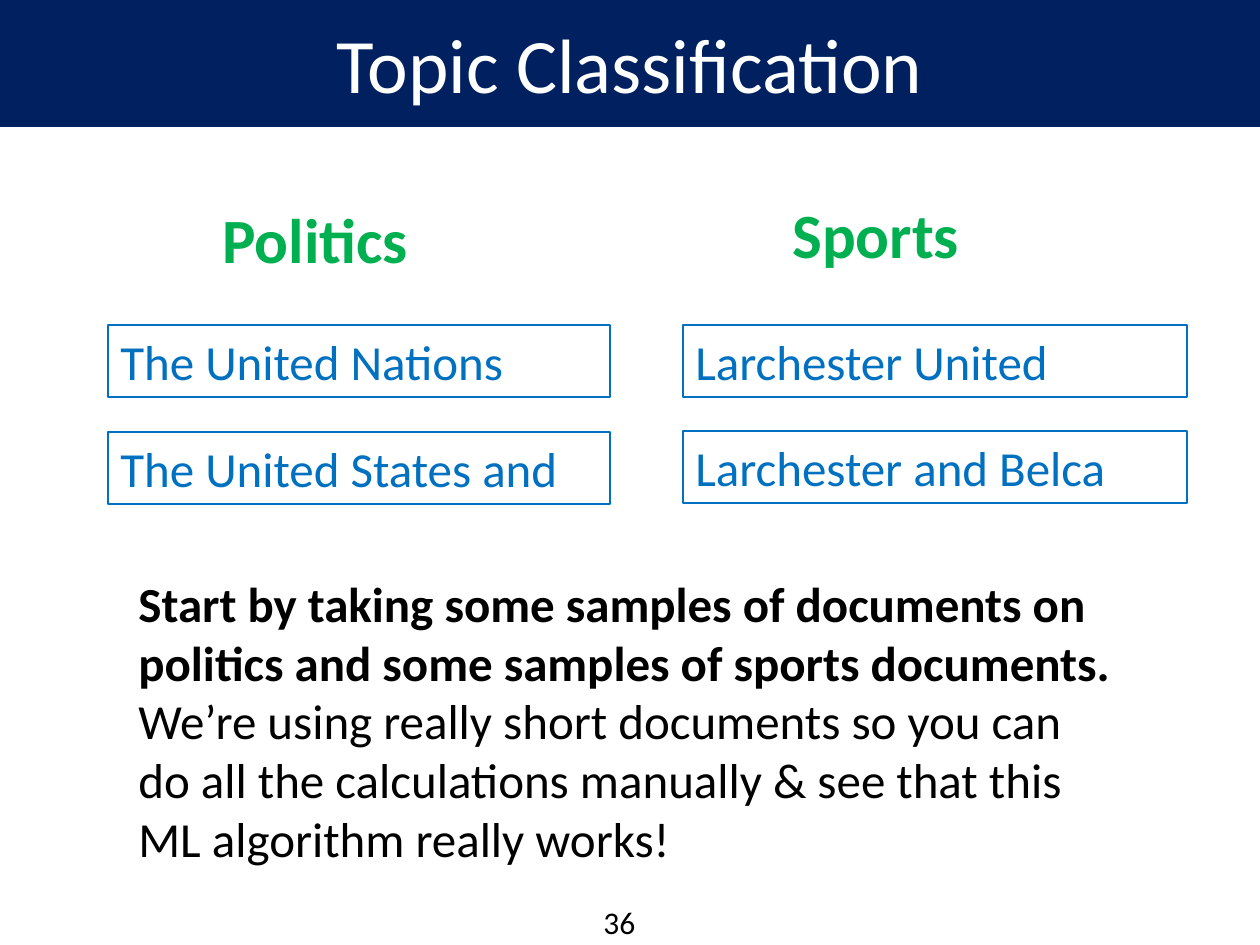
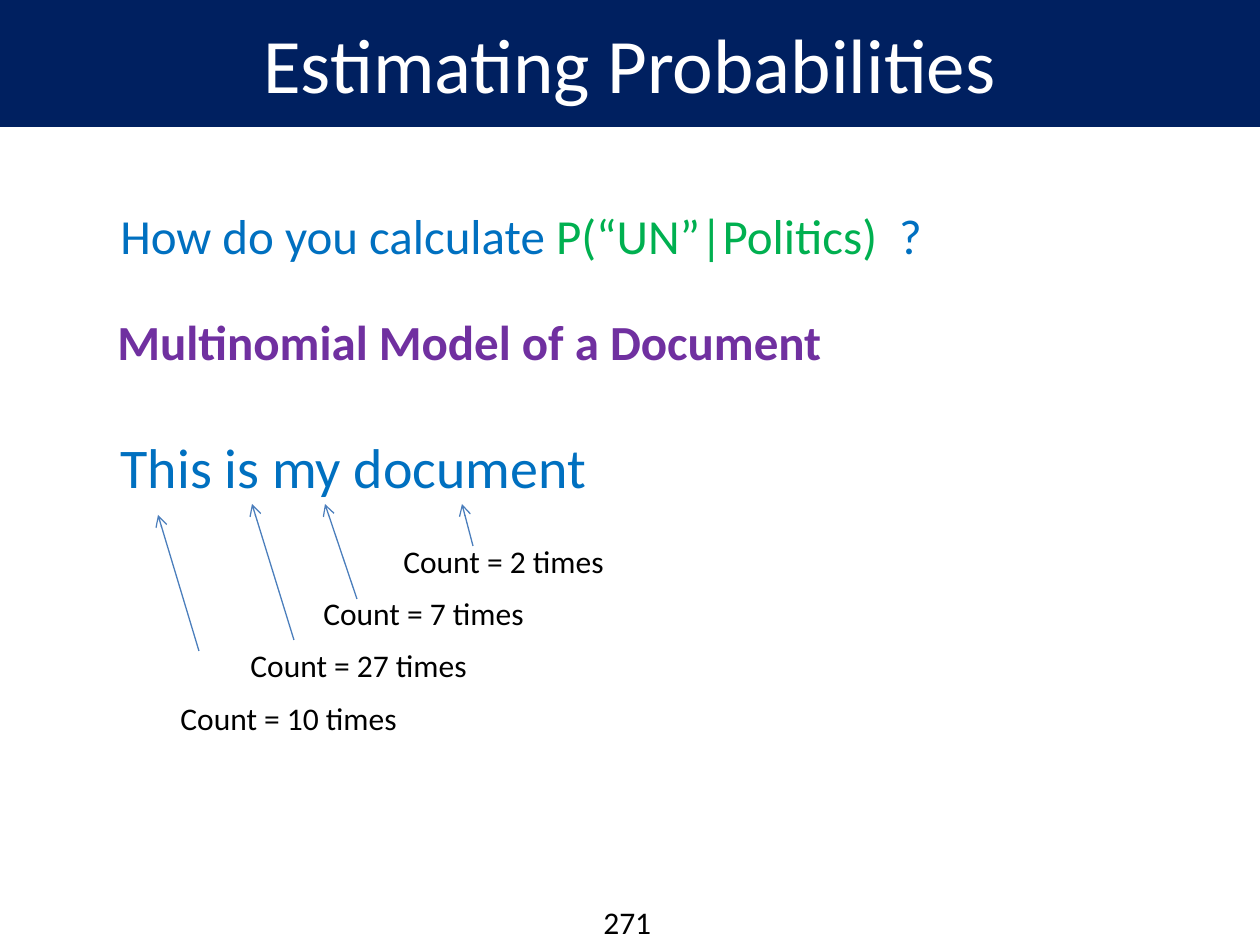
"""Build two slides on topic classification and estimating probabilities."""
from lxml import etree
from pptx import Presentation
from pptx.dml.color import RGBColor
from pptx.enum.shapes import MSO_CONNECTOR
from pptx.enum.text import MSO_ANCHOR, MSO_AUTO_SIZE, PP_ALIGN
from pptx.oxml.ns import qn
from pptx.util import Pt

FIT, FIXED = MSO_AUTO_SIZE.SHAPE_TO_FIT_TEXT, MSO_AUTO_SIZE.NONE
MIDDLE, CENTER = MSO_ANCHOR.MIDDLE, PP_ALIGN.CENTER
STRAIGHT = MSO_CONNECTOR.STRAIGHT
PX = 914400 / 126
COLORS = {"navy": "002060", "white": "FFFFFF", "black": "000000", "blue": "0070C0",
          "green": "00B050", "purple": "7030A0", "arrow": "4B7EBC"}
RGB = {name: RGBColor.from_string(value) for name, value in COLORS.items()}
TITLE_FORMAT = {"auto_size": FIXED, "vertical_anchor": MIDDLE, "word_wrap": True}


def add_runs(p, runs, size):
    """Add (text, colour, bold) runs to a paragraph."""
    for text, color, bold in runs:
        r = p.add_run()
        r.text = text
        for key, value in {"name": "Calibri", "size": Pt(size), "bold": bold}.items():
            setattr(r.font, key, value)
        r.font.color.rgb = RGB[color]


def add_text(s, box, paragraphs, size, wrap=True):
    """Add a text box with one list of runs for each paragraph."""
    sp = s.shapes.add_textbox(*[round(v * PX) for v in box])
    tf = sp.text_frame
    tf.word_wrap, tf.auto_size = wrap, FIT
    for i, runs in enumerate(paragraphs):
        add_runs(tf.add_paragraph() if i else tf.paragraphs[0], runs, size)
    return sp


prs = Presentation()
prs.slide_width, prs.slide_height = round(1260 * PX), round(945 * PX)

slides = []
for layout, title, number in [(5, "Topic Classification", "36"),
                              (1, "Estimating Probabilities", "271")]:
    s = prs.slides.add_slide(prs.slide_layouts[layout])
    sp = s.shapes.title
    sp.left, sp.top, sp.width, sp.height = 0, 0, prs.slide_width, round(126 * PX)
    sp.fill.solid()
    sp.fill.fore_color.rgb = sp.line.color.rgb = RGB["navy"]
    sp.line.width = Pt(0.75)
    for key, value in TITLE_FORMAT.items():
        setattr(sp.text_frame, key, value)
    p = sp.text_frame.paragraphs[0]
    p.alignment = CENTER
    add_runs(p, [(title, "white", False)], 44)
    add_text(s, (591, 897, 91, 50), [[(number, "black", False)]], 18)
    slides.append(s)
topics, estimates = slides

add_text(topics, (126, 567, 1003, 310), [
    [("Start by taking some samples of documents on politics and some samples "
      "of sports documents.", "black", True)],
    [("We’re using really short documents so you can do all the calculations "
      "manually & see that this ML algorithm really works!", "black", False)],
], 28)

for heading, heading_box, left, width, samples in [
    ("Politics", (210, 194, 214, 89), 108, 502,
     [("The United Nations", 325), ("The United States and", 432)]),
    ("Sports", (780, 189, 194, 89), 683, 504,
     [("Larchester United", 325), ("Larchester and Belca", 431)]),
]:
    add_text(topics, heading_box, [[(heading, "green", True)]], 36, wrap=False)
    for sample, top in samples:
        sp = add_text(topics, (left, top, width, 72), [[(sample, "blue", False)]], 28)
        sp.line.color.rgb = RGB["blue"]
        sp.line.width = Pt(0.75)

body = estimates.placeholders[1]
body.left, body.top, body.width, body.height = [round(v * PX) for v in (108, 426, 1061, 382)]
body.text_frame.auto_size = FIXED
p = body.text_frame.paragraphs[0]
p.space_before = Pt(0)
pPr = p._p.get_or_add_pPr()
pPr.set("marL", "0")
pPr.set("indent", "0")
etree.SubElement(pPr, qn("a:buNone"))
add_runs(p, [("This is my document", "blue", False)], 32)

add_text(estimates, (108, 199, 1124, 72), [[
    ("How do you calculate ", "blue", False),
    ("P(“UN”|Politics)  ", "green", False),
    ("?", "blue", False),
]], 28)
add_text(estimates, (105, 305, 737, 72),
         [[("Multinomial Model of a Document", "purple", True)]], 28, wrap=False)

for count, left, top, width, arrow in [
    (10, 168, 693, 244, (199, 651, 158, 515)),
    (27, 238, 640, 244, (294, 640, 252, 504)),
    (7, 311, 588, 228, (357, 599, 325, 504)),
    (2, 391, 536, 228, (473, 546, 462, 504)),
]:
    add_text(estimates, (left, top, width, 50),
             [[(f"Count = {count} times", "black", False)]], 18, wrap=False)
    line = estimates.shapes.add_connector(STRAIGHT, *[round(v * PX) for v in arrow])
    line.line.color.rgb = RGB["arrow"]
    line.line.width = Pt(0.75)
    etree.SubElement(line.line._get_or_add_ln(), qn("a:tailEnd"), type="arrow")
    etree.SubElement(line._element.spPr, qn("a:effectLst"))

prs.save("out.pptx")
